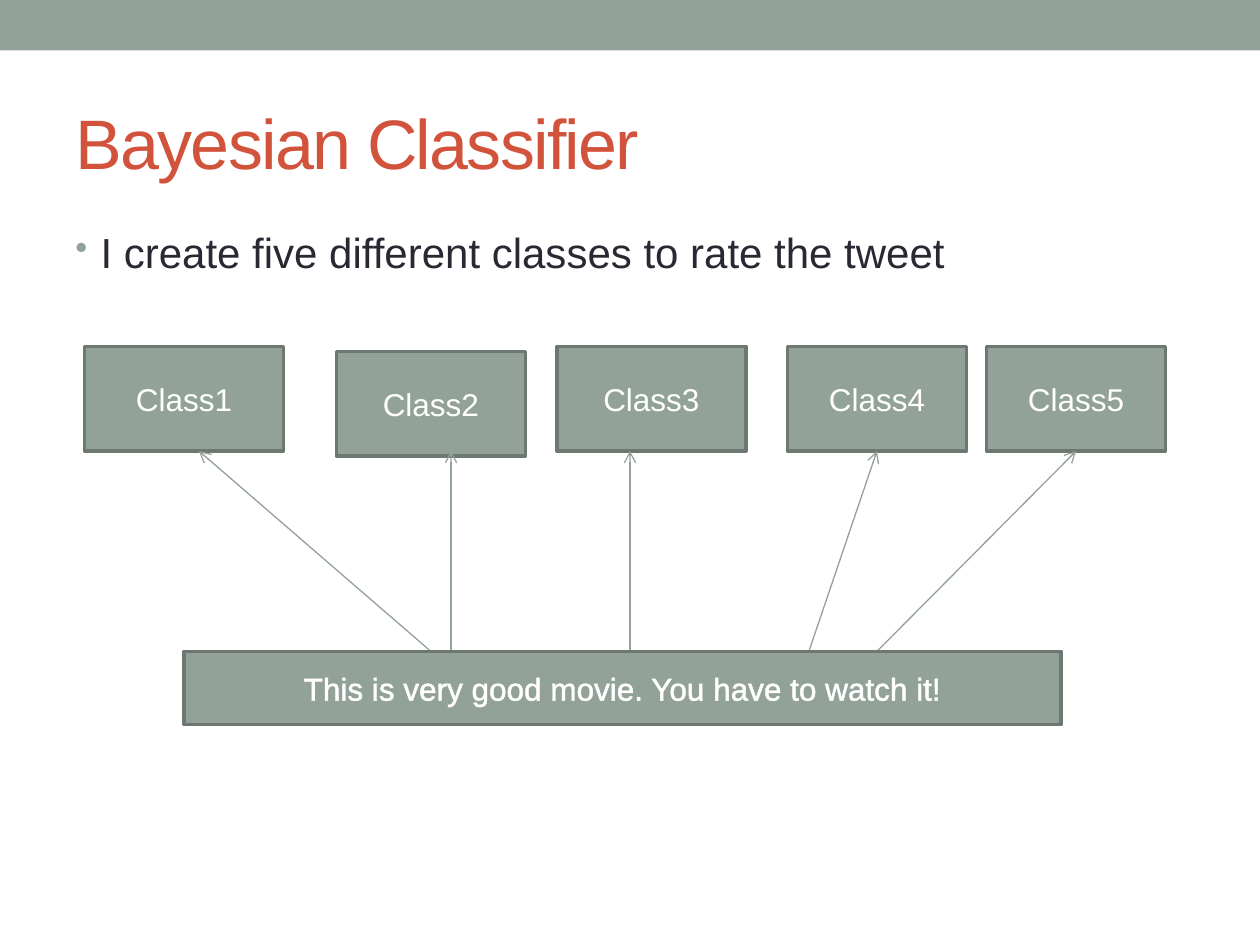
from lxml.etree import SubElement
from pptx import Presentation
from pptx.dml.color import RGBColor
from pptx.enum.shapes import MSO_CONNECTOR, MSO_SHAPE
from pptx.enum.text import MSO_ANCHOR, MSO_AUTO_SIZE, PP_ALIGN
from pptx.oxml.ns import qn
from pptx.util import Inches, Pt

SAGE = RGBColor(0x93, 0xA2, 0x99)
DARK_SAGE = RGBColor(0x6D, 0x78, 0x71)
RUST = RGBColor(0xD2, 0x53, 0x3C)
INK = RGBColor(0x29, 0x29, 0x34)
WHITE = RGBColor(0xFF, 0xFF, 0xFF)

TITLE = "Bayesian Classifier"
BULLET = "I create five different classes to rate the tweet"
TWEET = "This is very good movie. You have to watch it!"
# name, left, top, width
CLASSES = [
    ("Class1", 0.67, 2.75, 1.58),
    ("Class2", 2.67, 2.79, 1.5),
    ("Class3", 4.42, 2.75, 1.5),
    ("Class4", 6.25, 2.75, 1.42),
    ("Class5", 7.83, 2.75, 1.42),
]
CLASS_HEIGHT = 0.83
# start x, end x, class whose bottom middle the arrow joins
ARROWS = [
    (3.42, 1.58, None),
    (3.58, 3.58, None),
    (5, 5, None),
    (6.42, 6.96, "Class4"),
    (6.96, 8.54, "Class5"),
]
ARROW_START, ARROW_END = 5.17, 3.58


def style_text(paragraph, size, color):
    paragraph.font.name = "Arial"
    paragraph.font.size = Pt(size)
    paragraph.font.color.rgb = color


def add_box(slide, left, top, width, height, text="", outlined=True):
    shape = slide.shapes.add_shape(
        MSO_SHAPE.RECTANGLE, Inches(left), Inches(top), Inches(width), Inches(height))
    shape.shadow.inherit = False
    shape.fill.solid()
    shape.fill.fore_color.rgb = SAGE
    if outlined:
        shape.line.color.rgb = DARK_SAGE
        shape.line.width = Pt(2.08)
    else:
        shape.line.fill.background()
    if text:
        shape.text_frame.text = text
        shape.text_frame.vertical_anchor = MSO_ANCHOR.MIDDLE
        paragraph = shape.text_frame.paragraphs[0]
        paragraph.alignment = PP_ALIGN.CENTER
        style_text(paragraph, 18, WHITE)
    return shape


def add_title(slide):
    title = slide.shapes.title
    title.left, title.top = Inches(0.5), Inches(0.58)
    title.width, title.height = Inches(9), Inches(1.08)
    title.text_frame.text = TITLE
    title.text_frame.auto_size = MSO_AUTO_SIZE.NONE
    title.text_frame.vertical_anchor = MSO_ANCHOR.MIDDLE
    paragraph = title.text_frame.paragraphs[0]
    paragraph.alignment = PP_ALIGN.LEFT
    style_text(paragraph, 40, RUST)
    paragraph.runs[0].font._element.set("spc", "-100")


def add_bullet(slide):
    box = slide.shapes.add_textbox(Inches(0.5), Inches(1.75), Inches(9), Inches(5.33))
    box.text_frame.word_wrap = True
    paragraph = box.text_frame.paragraphs[0]
    paragraph.text = BULLET
    paragraph.space_before = Pt(4.8)
    style_text(paragraph, 24, INK)
    properties = paragraph._p.get_or_add_pPr()
    properties.set("marL", str(Inches(0.2)))
    properties.set("indent", str(-Inches(0.2)))
    bullet_color = properties.makeelement(qn("a:buClr"))
    SubElement(bullet_color, qn("a:srgbClr"), val=str(SAGE))
    bullet_size = properties.makeelement(qn("a:buSzPct"), val="85000")
    bullet_char = properties.makeelement(qn("a:buChar"), char="•")
    run_defaults = properties.find(qn("a:defRPr"))
    for element in (bullet_color, bullet_size, bullet_char):
        run_defaults.addprevious(element)


def add_arrow(slide, start_x, end_x, target):
    arrow = slide.shapes.add_connector(
        MSO_CONNECTOR.STRAIGHT,
        Inches(start_x), Inches(ARROW_START), Inches(end_x), Inches(ARROW_END))
    if target is not None:
        arrow.end_connect(target, 2)
    arrow.line.color.rgb = SAGE
    arrow.line.width = Pt(0.75)
    SubElement(arrow.line._get_or_add_ln(), qn("a:tailEnd"), type="arrow")
    SubElement(arrow._element.spPr, qn("a:effectLst"))


def outline_text(run):
    outline = run.font._element.makeelement(qn("a:ln"), w=str(Pt(1.45)))
    fill = SubElement(outline, qn("a:solidFill"))
    SubElement(fill, qn("a:srgbClr"), val=str(WHITE))
    run.font._element.insert(0, outline)


def main():
    presentation = Presentation()
    presentation.slide_width, presentation.slide_height = Inches(10), Inches(7.5)
    slide = presentation.slides.add_slide(presentation.slide_layouts[5])

    add_box(slide, 0, 0, 10, 0.4, outlined=False)
    add_title(slide)
    add_bullet(slide)
    class_boxes = {
        name: add_box(slide, left, top, width, CLASS_HEIGHT, name)
        for name, left, top, width in CLASSES
    }
    for start_x, end_x, name in ARROWS:
        add_arrow(slide, start_x, end_x, class_boxes.get(name))
    tweet = add_box(slide, 1.46, ARROW_START, 6.96, 0.58, TWEET)
    outline_text(tweet.text_frame.paragraphs[0].runs[0])

    presentation.save("out.pptx")


if __name__ == "__main__":
    main()
